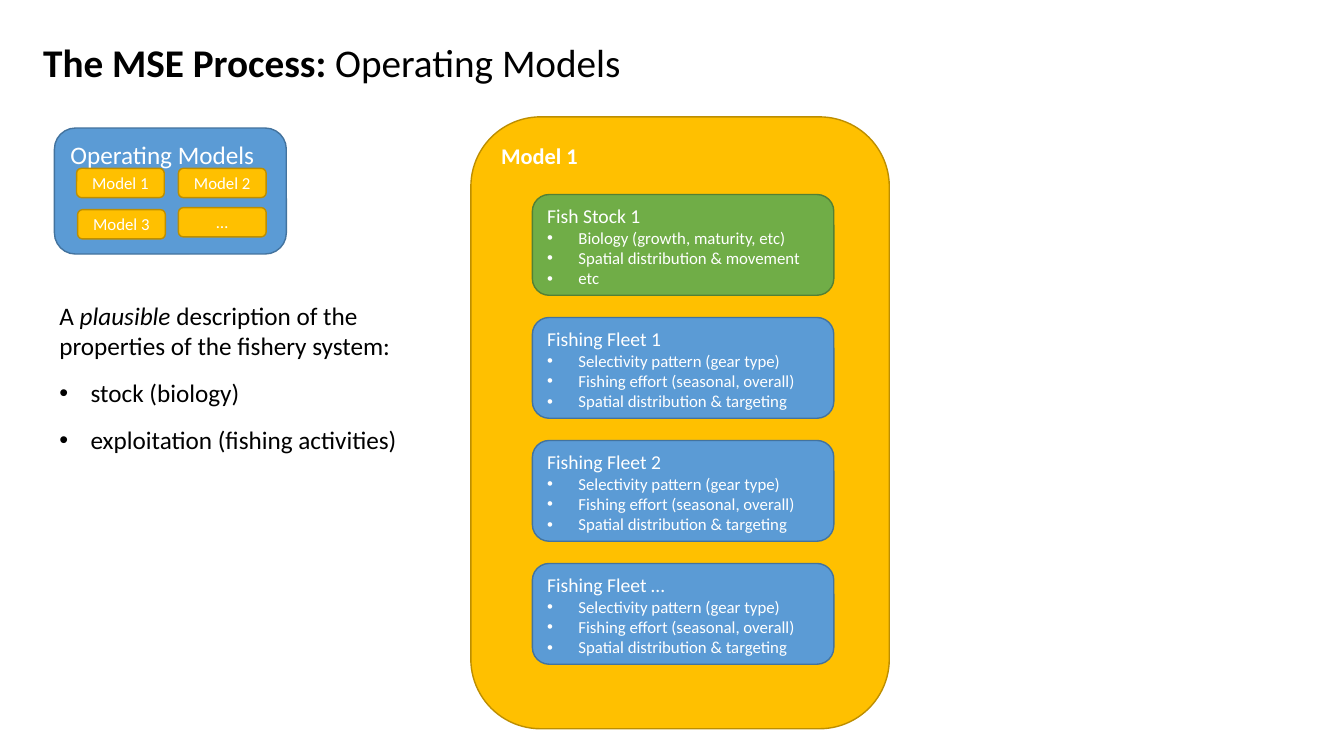
from lxml import etree
from pptx import Presentation
from pptx.dml.color import RGBColor
from pptx.enum.shapes import MSO_SHAPE
from pptx.enum.text import MSO_ANCHOR, MSO_AUTO_SIZE, PP_ALIGN
from pptx.oxml.ns import qn
from pptx.util import Inches, Pt

ROUND = MSO_SHAPE.ROUNDED_RECTANGLE
TOP, MIDDLE = MSO_ANCHOR.TOP, MSO_ANCHOR.MIDDLE
LEFT, CENTER = PP_ALIGN.LEFT, PP_ALIGN.CENTER
GROW = MSO_AUTO_SIZE.SHAPE_TO_FIT_TEXT

FONT = "Calibri"
INDENT = 0.31
COLORS = {
    "black": "000000", "white": "FFFFFF",
    "blue": "5B9BD5", "blue edge": "43739E",
    "gold": "FFC000", "gold edge": "BD8E00",
    "green": "70AD47", "green edge": "538035",
}


def color(name):
    return RGBColor.from_string(COLORS[name])


class Deck:
    """Holds the style, the slide and the shapes now being filled."""

    def __init__(self):
        self.show = Presentation()
        self.show.slide_width = Inches(13.33)
        self.show.slide_height = Inches(7.5)
        self.slide = self.show.slides.add_slide(self.show.slide_layouts[6])
        self.home = self.slide.shapes

    def group(self):
        self.home = self.slide.shapes.add_group_shape().shapes

    def ungroup(self):
        self.home = self.slide.shapes

    def line(self, frame, runs, size, tint, first=False, bold=None,
             align=LEFT, bullet=False):
        """Write one paragraph; runs are (text, bold, italic) tuples."""
        para = frame.paragraphs[0] if first else frame.add_paragraph()
        para.alignment = align
        if bullet:
            props = para._p.get_or_add_pPr()
            props.set("marL", str(Inches(INDENT)))
            props.set("indent", str(-Inches(INDENT)))
            etree.SubElement(props, qn("a:buFont"), typeface="Arial")
            etree.SubElement(props, qn("a:buChar"), char="•")
        para.font.name = FONT
        para.font.size = Pt(size)
        para.font.bold = bold
        para.font.color.rgb = color(tint)
        for text, strong, slant in runs:
            run = para.add_run()
            run.text = text
            if strong:
                run.font.bold = True
            if slant:
                run.font.italic = True
        return para

    def text(self, left, top, width, height):
        box = self.home.add_textbox(*map(Inches, (left, top, width, height)))
        frame = box.text_frame
        frame.word_wrap = True
        frame.auto_size = GROW
        return frame

    def box(self, left, top, width, height, fill, title, size, bold=None,
            anchor=TOP, align=LEFT, items=()):
        shape = self.home.add_shape(
            ROUND, *map(Inches, (left, top, width, height)))
        shape.shadow.inherit = False
        shape.fill.solid()
        shape.fill.fore_color.rgb = color(fill)
        shape.line.color.rgb = color(fill + " edge")
        shape.line.width = Pt(1)
        frame = shape.text_frame
        frame.word_wrap = True
        frame.vertical_anchor = anchor
        self.line(frame, [(title, False, False)], size, "white", first=True,
                  bold=bold, align=align)
        for item in items:
            self.line(frame, [(item, False, False)], 12, "white", bullet=True)


def main():
    deck = Deck()

    # Title
    title = deck.text(0.33, 0.33, 12.32, 0.57)
    deck.line(title, [("The MSE Process: ", True, False),
                      ("Operating Models", False, False)],
              28, "black", first=True)

    # Overview of the operating models
    deck.group()
    deck.box(0.54, 1.27, 2.3, 1.25, "blue", "Operating Models", 18)
    models = [("Model 1", 0.76, 1.67), ("Model 2", 1.77, 1.67),
              ("…", 1.77, 2.06), ("Model 3", 0.77, 2.08)]
    for name, left, top in models:
        deck.box(left, top, 0.87, 0.29, "gold", name, 12,
                 anchor=MIDDLE, align=CENTER)

    # Model 1 in detail: one stock and its fleets
    deck.group()
    deck.box(4.67, 1.16, 4.15, 6.07, "gold", "Model 1", 16, bold=True)
    stock = ["Biology (growth, maturity, etc)",
             "Spatial distribution & movement", "etc"]
    fleet = ["Selectivity pattern (gear type)",
             "Fishing effort (seasonal, overall)",
             "Spatial distribution & targeting"]
    parts = [("Fish Stock 1", "green", stock)]
    parts += [(f"Fishing Fleet {mark}", "blue", fleet) for mark in "12…"]
    for row, (name, fill, items) in enumerate(parts):
        deck.box(5.28, 1.93 + 1.22 * row, 2.99, 1, fill, name, 14,
                 items=items)

    # Description
    deck.ungroup()
    about = deck.text(0.49, 2.93, 3.88, 1.65)
    intro = deck.line(about, [
        ("A ", False, False), ("plausible", False, True),
        (" description of the properties of the fishery system:",
         False, False)], 18, "black", first=True)
    intro.space_after = Pt(6)
    for item in ("stock (biology)", "exploitation (fishing activities)"):
        para = deck.line(about, [(item, False, False)], 18, "black",
                         bullet=True)
        para.space_before = para.space_after = Pt(6)

    deck.show.save("out.pptx")


if __name__ == "__main__":
    main()
